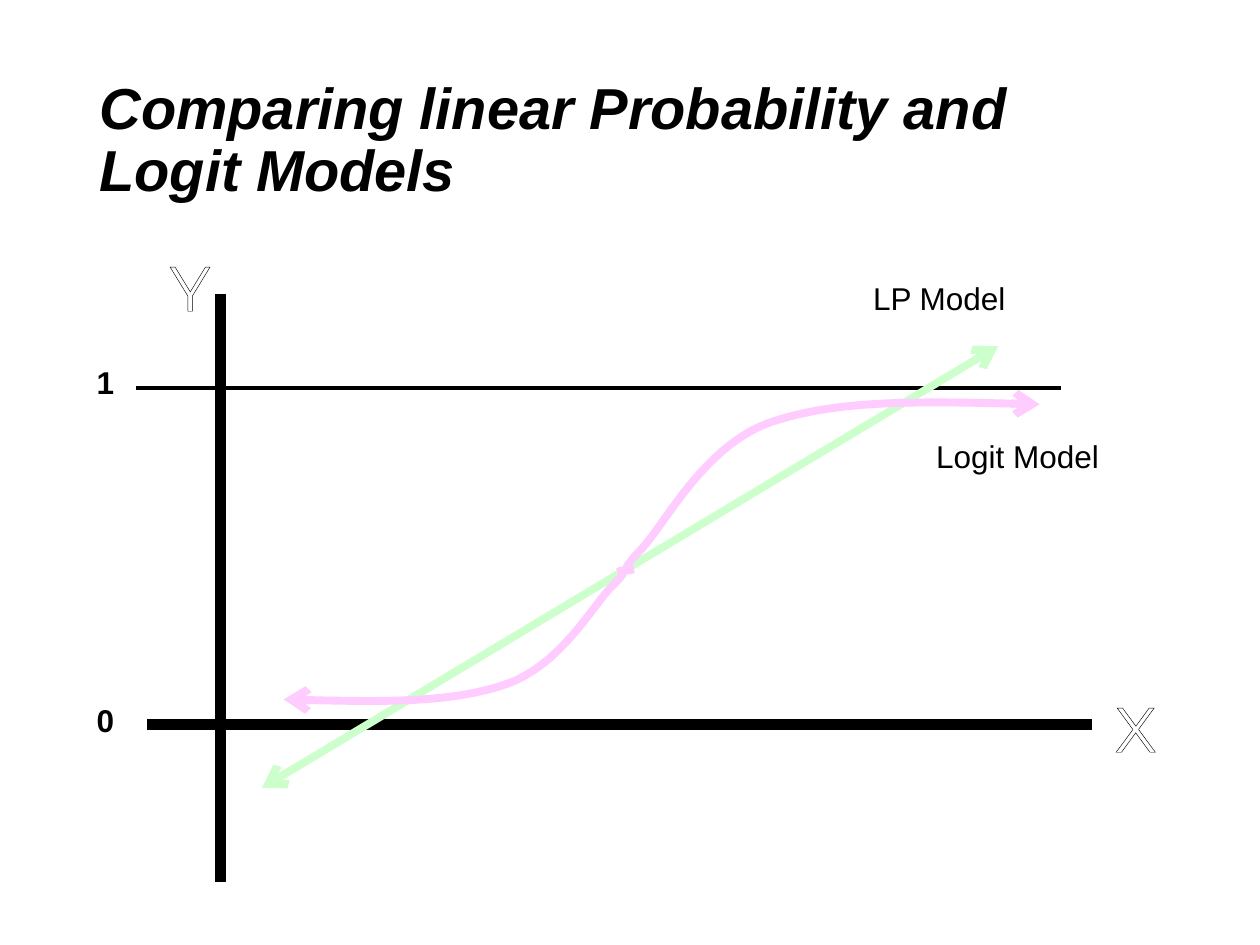
from lxml import etree
from pptx import Presentation
from pptx.dml.color import RGBColor
from pptx.enum import shapes, text
from pptx.oxml import ns
from pptx.util import Cm, Pt

COLORS = {"ink": "000000", "paper": "FFFFFF", "linear": "CCFFCC", "logit": "FFCCFF"}

# Bezier chains: a start point, then three points for each curve
UPPER_CURVE = [(19.26, 3.27),
               (17.2, 3.22), (15.14, 3.17), (13.79, 3.65),
               (12.47, 4.14), (11.69, 5.71), (11.23, 6.19),
               (10.77, 6.68), (10.92, 6.63), (11.08, 6.6)]
LOWER_CURVE = [(4.02, 9.22),
               (5.72, 9.27), (7.42, 9.29), (8.51, 8.91),
               (9.6, 8.53), (10.24, 7.34), (10.62, 6.96),
               (11, 6.58), (10.87, 6.6), (10.75, 6.65)]


def rgb(name):
    return RGBColor.from_string(COLORS[name])


def style_run(r, size, font="Arial", color="ink", bold=False, italic=False):
    r.font.name, r.font.size = font, Pt(size)
    r.font.bold, r.font.italic = bold, italic
    r.font.color.rgb = rgb(color)


def style_line(sp, color, width, ends=()):
    sp.line.color.rgb = rgb(color)
    sp.line.width = Pt(width)
    ln = sp.line._get_or_add_ln()
    for end in ends:
        etree.SubElement(ln, ns.qn(f"a:{end}"), type="arrow")


def add_line(s, box, start, end, color, width, ends=()):
    x, y = box
    sp = s.shapes.add_connector(
        shapes.MSO_CONNECTOR.STRAIGHT,
        Cm(x + start[0]), Cm(y + start[1]), Cm(x + end[0]), Cm(y + end[1]))
    style_line(sp, color, width, ends)
    etree.SubElement(sp._element.spPr, ns.qn("a:effectLst"))


def add_curve(s, box, points, color, width):
    x, y = box
    pts = [(Cm(x + px), Cm(y + py)) for px, py in points]
    builder = s.shapes.build_freeform(*pts[0])
    builder.add_line_segments(pts[1:], close=False)
    sp = builder.convert_to_shape()
    # Join every three straight segments into one cubic curve
    segments = list(sp._element.iter(ns.qn("a:lnTo")))
    for i in range(0, len(segments), 3):
        cubic = etree.Element(ns.qn("a:cubicBezTo"))
        segments[i].addprevious(cubic)
        for seg in segments[i:i + 3]:
            cubic.append(seg[0])
            seg.getparent().remove(seg)
    sp.fill.background()
    sp.shadow.inherit = False
    style_line(sp, color, width, ["headEnd"])


def add_label(s, box, at, extent, words, **font):
    tb = s.shapes.add_textbox(Cm(box[0] + at[0]), Cm(box[1] + at[1]),
                              Cm(extent[0]), Cm(extent[1]))
    tf = tb.text_frame
    tf.word_wrap = False
    p = tf.paragraphs[0]
    r = p.add_run()
    r.text = words
    style_run(r, **font)
    return p, r


def add_axis_name(s, box, at, words):
    p, r = add_label(s, box, at, (0.99, 1.8), words,
                     size=36, font="Montserrat", color="paper")
    p.alignment = text.PP_ALIGN.CENTER
    # Outlined letter
    ln = etree.Element(ns.qn("a:ln"), w=str(Pt(0.75)))
    fill = etree.SubElement(ln, ns.qn("a:solidFill"))
    etree.SubElement(fill, ns.qn("a:srgbClr"), val=COLORS["ink"])
    r._r.get_or_add_rPr().insert(0, ln)


def add_title(s, left, top, width, height):
    sp = s.shapes.title
    sp.left, sp.top, sp.width, sp.height = Cm(left), Cm(top), Cm(width), Cm(height)
    tf = sp.text_frame
    tf.word_wrap = True
    tf.auto_size = text.MSO_AUTO_SIZE.NONE
    tf.vertical_anchor = text.MSO_ANCHOR.MIDDLE
    p = tf.paragraphs[0]
    p.alignment = text.PP_ALIGN.LEFT
    p.line_spacing = 0.9
    r = p.add_run()
    r.text = "Comparing linear Probability and Logit Models"
    style_run(r, 33, bold=True, italic=True)


def add_diagram(s, box):
    # Axes and the upper limit
    add_line(s, box, (2.75, 1.04), (2.75, 12.9), "ink", 6)
    add_line(s, box, (1.27, 9.73), (20.32, 9.73), "ink", 6)
    add_line(s, box, (1.04, 2.94), (19.69, 2.94), "ink", 2.25)
    for words, top in (("0", 9.12), ("1", 2.31)):
        add_label(s, box, (0, top), (1.02, 1.27), words, size=18, bold=True)

    # Linear probability model
    add_line(s, box, (3.58, 11), (18.42, 2.1), "linear", 4.5, ["headEnd", "tailEnd"])
    add_axis_name(s, box, (20.53, 8.89), "X")
    add_axis_name(s, box, (1.48, 0), "Y")
    add_label(s, box, (15.65, 0.63), (4.06, 1.27), "LP Model", size=18)

    # Logit model
    for points in (UPPER_CURVE, LOWER_CURVE):
        add_curve(s, box, points, "logit", 4.5)
    add_label(s, box, (16.92, 3.81), (5.16, 1.27), "Logit Model", size=18)


def main():
    prs = Presentation()
    prs.slide_width, prs.slide_height = Cm(25.4), Cm(19.05)
    s = prs.slides.add_slide(prs.slide_layouts[5])
    add_title(s, 1.75, 1.02, 21.9, 3.68)
    add_diagram(s, (1.7, 4.88))
    prs.save("out.pptx")


if __name__ == "__main__":
    main()
